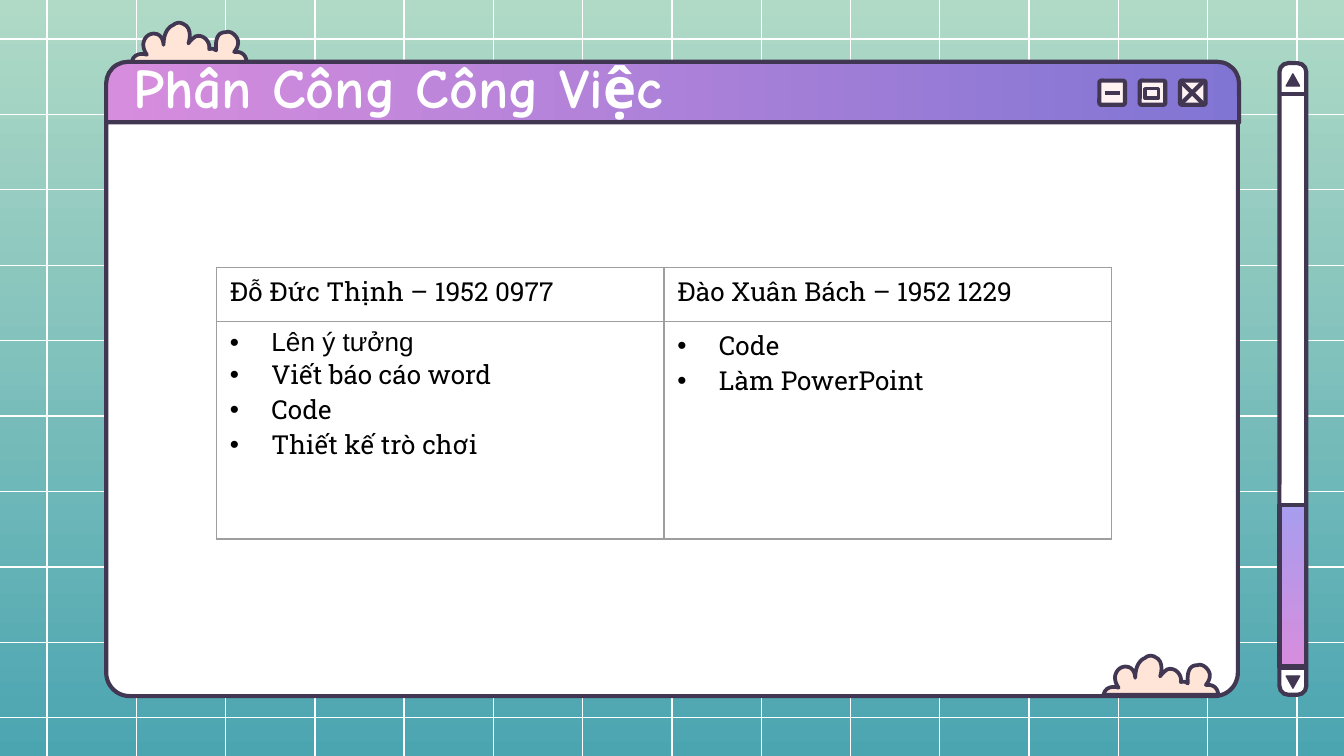
"""Build the task assignment slide: a retro window with a two-person table."""
import pptx
import pptx.dml.color
import pptx.enum.shapes
import pptx.enum.text
import pptx.oxml
import pptx.oxml.ns
import pptx.util

Inches = pptx.util.Inches
Pt = pptx.util.Pt
RGB = pptx.dml.color.RGBColor.from_string
SHAPE = pptx.enum.shapes.MSO_SHAPE
NS = pptx.oxml.ns.nsdecls("a")
COLORS = {
    "ink": "423752", "white": "FFFFFF", "black": "000000", "cloud": "FFE4D8",
    "button": "FEF2F2", "border": "9E9E9E", "sky": "B0DAC6", "sea": "4BA5B1",
    "violet": "8175D4", "pink": "D78DDD", "lilac": "A89DEE",
}


def paint(sp, fill, width):
    sp.shadow.inherit = False
    sp.line.color.rgb = RGB(COLORS["ink"])
    sp.line.width = Pt(width)
    if fill:
        sp.fill.solid()
        sp.fill.fore_color.rgb = RGB(COLORS[fill])
    return sp


def add_line(x1, y1, x2, y2, color="ink", width=2.25):
    cx = shapes.add_connector(pptx.enum.shapes.MSO_CONNECTOR.STRAIGHT,
                              Inches(x1), Inches(y1), Inches(x2), Inches(y2))
    cx.line.color.rgb = RGB(COLORS[color])
    cx.line.width = Pt(width)
    cx._element.spPr.append(pptx.oxml.parse_xml(f"<a:effectLst {NS}/>"))


prs = pptx.Presentation()
prs.slide_width = Inches(10)
prs.slide_height = Inches(10 * 9 / 16)
s = prs.slides.add_slide(prs.slide_layouts[6])
shapes = s.shapes

for i in range(15):
    x = 0.35 + i * 9.3 / 14
    add_line(x, -0.07, x, 5.7, "white", 0.75)
for i in range(10):
    y = 0.29 + i * 5.05 / 9
    add_line(-0.06, y, 10.06, y, "white", 0.75)

boxes = {}
for name, kind, x, y, w, h, fill, width, adj in [
    ("window", SHAPE.ROUND_2_SAME_RECTANGLE, 0.79, 0.81, 8.42, 4.37, "white", 2.25, [0, 0.04]),
    ("bar", SHAPE.ROUND_2_SAME_RECTANGLE, 0.79, 0.46, 8.43, 0.45, None, 2.25, [0.36, 0]),
    ("track", SHAPE.ROUNDED_RECTANGLE, 9.52, 0.47, 0.2, 4.7, "white", 2.25, [0.33]),
    ("up", SHAPE.ISOSCELES_TRIANGLE, 9.57, 0.55, 0.1, 0.09, "ink", 0.75, []),
    ("down", SHAPE.ISOSCELES_TRIANGLE, 9.57, 5.03, 0.1, 0.09, "ink", 0.75, []),
    ("thumb", SHAPE.RECTANGLE, 9.52, 3.76, 0.2, 1.2, None, 2.25, []),
]:
    sp = shapes.add_shape(kind, Inches(x), Inches(y), Inches(w), Inches(h))
    boxes[name] = paint(sp, fill, width)
    for i, value in enumerate(adj):
        sp.adjustments[i] = value
boxes["down"].rotation = 180
for y in (0.7, 4.97):
    add_line(9.51, y, 9.73, y)

for fill, start, end, angle in [
    (s.background.fill, "sky", "sea", 270),
    (boxes["bar"].fill, "violet", "pink", 180),
    (boxes["thumb"].fill, "lilac", "pink", 270),
]:
    fill.gradient()
    fill.gradient_angle = angle
    for stop, color in zip(fill.gradient_stops, (start, end)):
        stop.color.rgb = RGB(COLORS[color])

cloud_curves = [
    ((0.83, 0), (0.83, -0.08), (0.74, -0.07)),
    ((0.74, -0.07), (0.79, -0.12), (0.76, -0.17)),
    ((0.74, -0.2), (0.71, -0.22), (0.68, -0.21)),
    ((0.64, -0.21), (0.6, -0.19), (0.61, -0.08)),
    ((0.61, -0.08), (0.59, -0.1), (0.56, -0.09)),
    ((0.57, -0.14), (0.52, -0.2), (0.46, -0.18)),
    ((0.45, -0.17), (0.43, -0.16), (0.41, -0.13)),
    ((0.41, -0.13), (0.45, -0.24), (0.37, -0.27)),
    ((0.35, -0.28), (0.32, -0.28), (0.3, -0.26)),
    ((0.27, -0.25), (0.23, -0.21), (0.23, -0.12)),
    ((0.23, -0.12), (0.23, -0.2), (0.16, -0.2)),
    ((0.13, -0.2), (0.1, -0.18), (0.09, -0.15)),
    ((0.08, -0.13), (0.08, -0.09), (0.11, -0.05)),
    ((0.11, -0.05), (0.02, -0.08), (0, 0)),
]
outline = [(0.83, 0)]
for a, b, c in cloud_curves:
    start = outline[-1]
    for t in (k / 8 for k in range(1, 9)):
        weights = ((1 - t) ** 3, 3 * t * (1 - t) ** 2, 3 * t * t * (1 - t), t ** 3)
        outline.append(tuple(sum(wt * pt[axis] for wt, pt in zip(weights, (start, a, b, c)))
                             for axis in (0, 1)))
for left, base in [(8.21, 5.17), (0.98, 0.46)]:
    points = [(Inches(left + x * 1.03), Inches(base + y * 1.05)) for x, y in outline]
    fb = shapes.build_freeform(*points[0])
    fb.add_line_segments(points[1:], close=True)
    paint(fb.convert_to_shape(), "cloud", 2)

tf = shapes.add_textbox(Inches(0.79), Inches(0.49), Inches(6.58), Inches(0.4)).text_frame
tf.word_wrap = True
tf.vertical_anchor = pptx.enum.text.MSO_ANCHOR.MIDDLE
tf.margin_left, tf.margin_bottom = Inches(0.2), Inches(0.1)
tf.margin_top = tf.margin_right = 0
r = tf.paragraphs[0].add_run()
r.text = "Phân Công Công Việc"
r.font.size, r.font.name, r.font.bold = Pt(30), "Comic Neue", True
r.font.color.rgb = RGB(COLORS["white"])

for x, y, w, h, width, corner in [
    (8.18, 0.6, 0.19, 0.18, 2.25, 0.08),
    (8.48, 0.6, 0.19, 0.18, 2.25, 0.08),
    (8.78, 0.6, 0.19, 0.18, 2.25, 0.08),
    (8.52, 0.66, 0.1, 0.07, 1.85, 0),
]:
    sp = shapes.add_shape(SHAPE.ROUNDED_RECTANGLE, Inches(x), Inches(y), Inches(w), Inches(h))
    sp.adjustments[0] = corner
    paint(sp, "button", width)
add_line(8.22, 0.69, 8.33, 0.69)
add_line(8.78, 0.6, 8.96, 0.78)
add_line(8.96, 0.6, 8.78, 0.78)

slab = "Roboto Slab"
rows = [
    [[("Đỗ Đức Thịnh – 1952 0977", slab)], [("Đào Xuân Bách – 1952 1229", slab)]],
    [[("Lên ý tưởng", "Arial"), ("Viết báo cáo word", slab), ("Code", slab),
      ("Thiết kế trò chơi", slab)],
     [("Code", slab), ("Làm PowerPoint", slab)]],
]
table = shapes.add_table(2, 2, Inches(1.61), Inches(1.99), Inches(6.66), Inches(2.02)).table
table.first_row = table.horz_banding = False
table.rows[0].height, table.rows[1].height = Inches(0.4), Inches(1.62)
for i, row in enumerate(rows):
    for j, items in enumerate(row):
        cell = table.cell(i, j)
        tcPr = cell._tc.get_or_add_tcPr()
        for side in "LRTB":
            tcPr.append(pptx.oxml.parse_xml(
                f'<a:ln{side} {NS} w="9525"><a:solidFill><a:srgbClr val="{COLORS["border"]}"/>'
                f'</a:solidFill></a:ln{side}>'))
        cell.fill.background()
        tf = cell.text_frame
        for n, (text, font) in enumerate(items):
            p = tf.add_paragraph() if n else tf.paragraphs[0]
            if i == 1:
                pPr = p._p.get_or_add_pPr()
                pPr.set("marL", str(Inches(0.31)))
                pPr.set("indent", str(-Inches(0.31)))
                for xml in (f'<a:buClr {NS}><a:srgbClr val="{COLORS["black"]}"/></a:buClr>',
                            f'<a:buFont {NS} typeface="Arial"/>', f'<a:buChar {NS} char="•"/>'):
                    pPr.append(pptx.oxml.parse_xml(xml))
            r = p.add_run()
            r.text = text
            r.font.size, r.font.name = Pt(14), font
            r.font.color.rgb = RGB(COLORS["black"])

prs.save("out.pptx")
